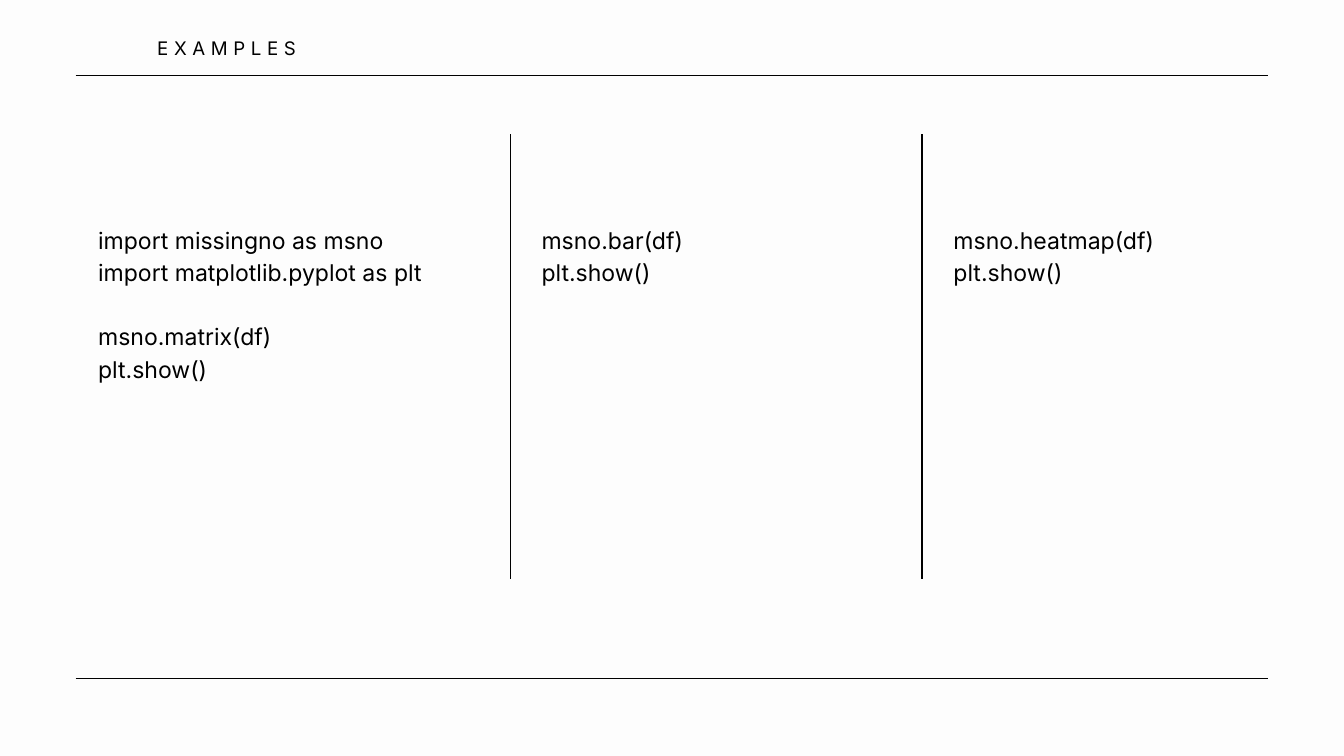
import pptx
import pptx.dml.color
import pptx.enum.shapes
import pptx.enum.text
import pptx.oxml.ns
import pptx.util
from pptx.util import Cm

BLACK = pptx.dml.color.RGBColor(0x00, 0x00, 0x00)
PAPER = pptx.dml.color.RGBColor(0xFD, 0xFD, 0xFD)
FONT = "Inter"
LINE_SPACING = pptx.util.Pt(34.5)


def clear_frame(frame):
    frame.margin_left = frame.margin_right = 0
    frame.margin_top = frame.margin_bottom = 0
    frame.word_wrap = True
    frame.auto_size = pptx.enum.text.MSO_AUTO_SIZE.NONE
    frame.vertical_anchor = pptx.enum.text.MSO_ANCHOR.TOP


def add_text(paragraph, text, size, spacing):
    paragraph.line_spacing = spacing
    run = paragraph.add_run()
    run.text = text
    run.font.name = FONT
    run.font.size = pptx.util.Pt(size)
    run.font.color.rgb = BLACK
    return run


presentation = pptx.Presentation()
presentation.slide_width = Cm(50.8)
presentation.slide_height = Cm(28.58)
slide = presentation.slides.add_slide(presentation.slide_layouts.get_by_name("Title Only"))
slide.background.fill.solid()
slide.background.fill.fore_color.rgb = PAPER

title = slide.shapes.title
title.left, title.top, title.width, title.height = Cm(2.86), Cm(1.24), Cm(8.33), Cm(0.97)
clear_frame(title.text_frame)
paragraph = title.text_frame.paragraphs[0]
paragraph.alignment = pptx.enum.text.PP_ALIGN.RIGHT
run = add_text(paragraph, "EXAMPLES", 20, pptx.util.Pt(28))
run.font._element.set("spc", "600")

horizontal_rules = [(2.86, y, 47.94, y) for y in (2.86, 25.65)]
column_dividers = [(x, 5.08, x, 21.89) for x in (19.3, 34.85)]
for ends in horizontal_rules + column_dividers:
    line = slide.shapes.add_connector(
        pptx.enum.shapes.MSO_CONNECTOR.STRAIGHT, *[Cm(value) for value in ends]
    )
    line.line.color.rgb = BLACK
    line.line.width = pptx.util.Pt(1.5)
    line._element.spPr.append(pptx.oxml.parse_xml(
        f"<a:effectLst {pptx.oxml.ns.nsdecls('a')}/>"
    ))

examples = [
    (3.71, 16.18, 7.19, [
        ["import missingno as msno", "import matplotlib.pyplot as plt"],
        ["msno.matrix(df)", "plt.show()"],
    ]),
    (20.47, 14.38, 3.58, [["msno.bar(df)", "plt.show()"]]),
    (36.04, 14.38, 3.58, [["msno.heatmap(df)", "plt.show()"]]),
]
for left, width, height, blocks in examples:
    box = slide.shapes.add_textbox(Cm(left), Cm(8.38), Cm(width), Cm(height))
    frame = box.text_frame
    clear_frame(frame)
    paragraph = frame.paragraphs[0]
    for block_number, block in enumerate(blocks):
        for line_number, code in enumerate(block):
            if block_number or line_number:
                paragraph = frame.add_paragraph()
            if block_number and not line_number:
                paragraph.space_before = LINE_SPACING
            add_text(paragraph, code, 24.7, LINE_SPACING)

presentation.save("out.pptx")
